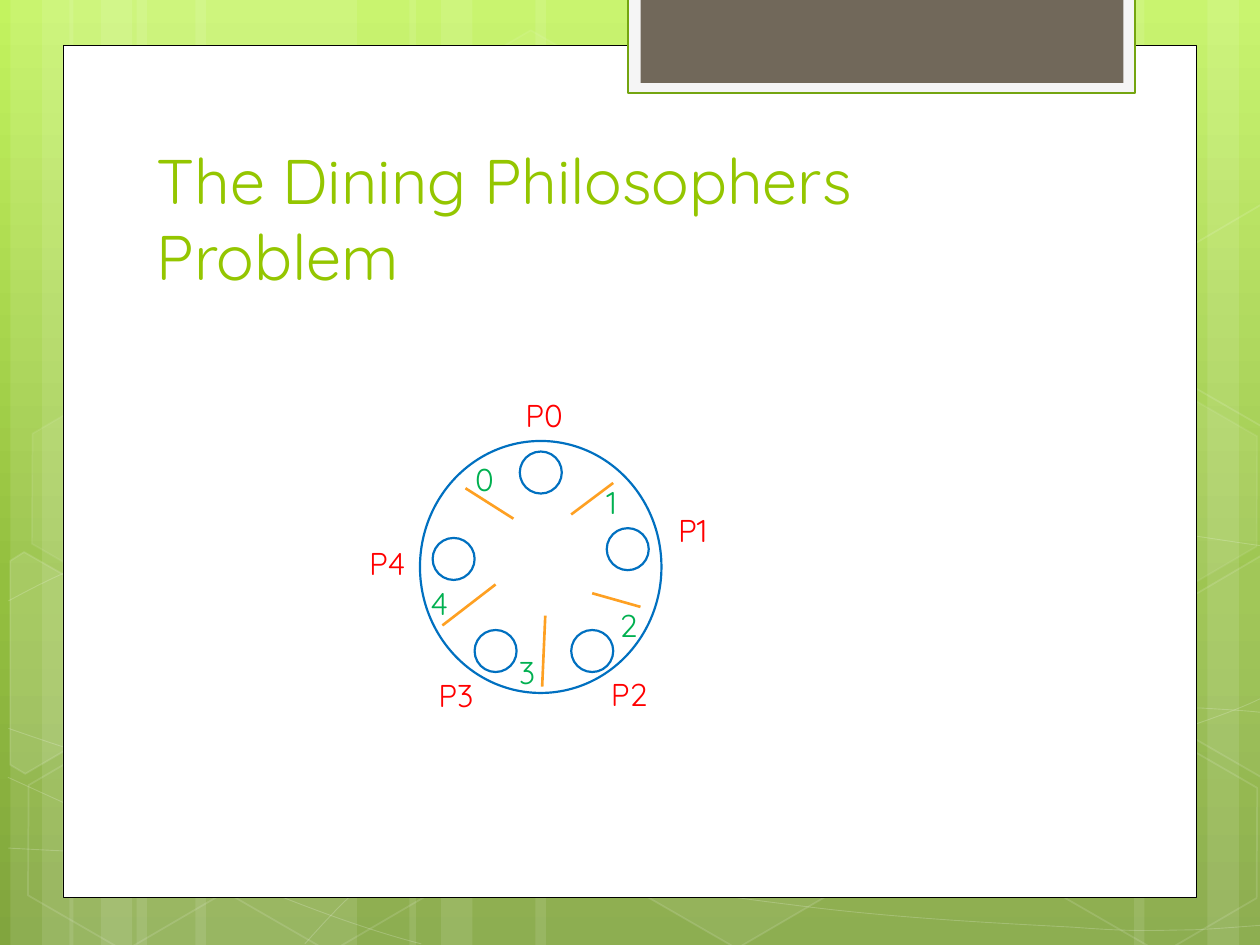
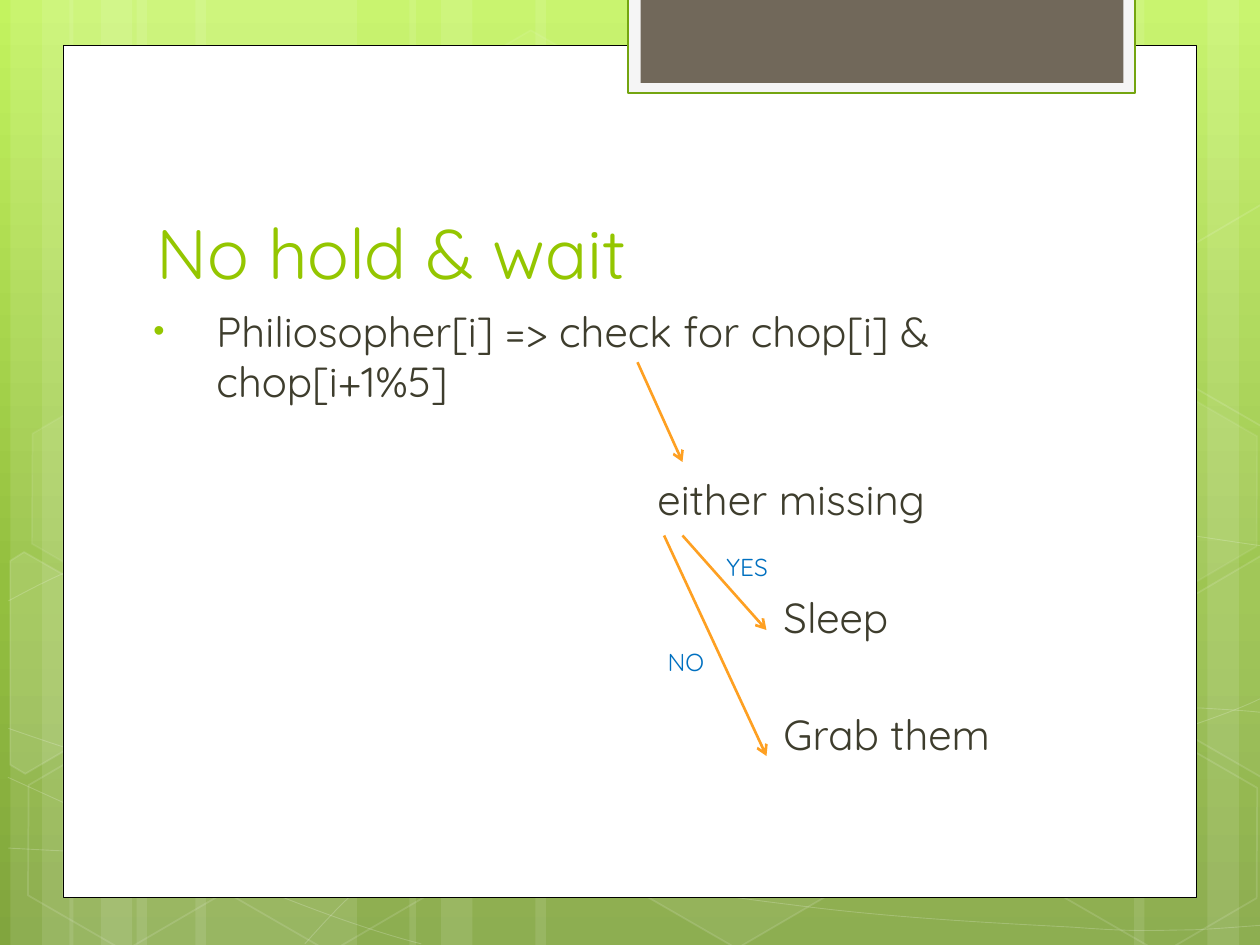
from dataclasses import dataclass
from math import cos, radians, sin
from lxml import etree
from pptx import Presentation
from pptx.dml.color import RGBColor
from pptx.enum.shapes import MSO_CONNECTOR, MSO_SHAPE
from pptx.enum.text import MSO_ANCHOR
from pptx.oxml.ns import qn
from pptx.util import Pt

RECT, OVAL, HEX = MSO_SHAPE.RECTANGLE, MSO_SHAPE.OVAL, MSO_SHAPE.HEXAGON
STRAIGHT = MSO_CONNECTOR.STRAIGHT
TOP, BOTTOM = MSO_ANCHOR.TOP, MSO_ANCHOR.BOTTOM

FONT = "Quicksand"
WHITE, BLACK, LIME, BLUE = "FFFFFF", "000000", "94C600", "0070C0"
RED, GREEN, AMBER, INK = "FF0000", "00B050", "FEA022", "3E3D2D"
WIDE, HIGH, TILT = 720, 540, 30
FADE = [(0, "C3F35F"), (62, "93BF3F"), (100, "81A53E")]

Point = tuple[float, float]


@dataclass
class Look:
    """Fill and outline; opacities in percent."""
    fill: str | None = None
    line: str | None = None
    width: float = 1
    veil: int = 100
    tint: int = 100


@dataclass
class Label:
    text: str
    x: float
    y: float
    color: str
    size: float = 18
    wide: float = 39.6
    high: float = 28.8


@dataclass
class Stick:
    start: Point
    end: Point
    arrow: bool = False


# ---- Drawing helpers ----
def paint(color, code: str) -> None:
    color.rgb = RGBColor.from_string(code)


def fade(node, share: int) -> None:
    if share < 100:
        for clr in node.iter(qn("a:srgbClr")):
            etree.SubElement(clr, qn("a:alpha"), val=str(share * 1000))


def dress(shape, look: Look) -> None:
    shape.shadow.inherit = False
    if look.fill:
        shape.fill.solid()
        paint(shape.fill.fore_color, look.fill)
        fade(shape.element.spPr.find(qn("a:solidFill")), look.veil)
    else:
        shape.fill.background()
    if look.line:
        paint(shape.line.color, look.line)
        shape.line.width = Pt(look.width)
        fade(shape.element.spPr.find(qn("a:ln")), look.tint)
    else:
        shape.line.fill.background()


def add_form(slide, kind, box: tuple, look: Look):
    shape = slide.shapes.add_shape(kind, *map(Pt, box))
    dress(shape, look)
    return shape


def add_path(slide, points: list[Point], look: Look, close: bool):
    dots = [(Pt(x), Pt(y)) for x, y in points]
    pen = slide.shapes.build_freeform(*dots[0], scale=1.0)
    pen.add_line_segments(dots[1:], close=close)
    shape = pen.convert_to_shape()
    dress(shape, look)
    return shape


def add_wave(slide, knots: list[Point], look: Look) -> None:
    """Turn each three knots after the first into one cubic curve."""
    shape = add_path(slide, knots, look, False)
    route = next(shape.element.iter(qn("a:path")))
    legs = route.findall(qn("a:lnTo"))
    for i in range(0, len(legs), 3):
        curve = etree.SubElement(route, qn("a:cubicBezTo"))
        for leg in legs[i:i + 3]:
            curve.append(leg[0])
            route.remove(leg)


def turn(points: list[Point], hub: Point, angle: float) -> list[Point]:
    c, s = cos(radians(angle)), sin(radians(angle))
    return [(hub[0] + (x - hub[0]) * c - (y - hub[1]) * s,
             hub[1] + (x - hub[0]) * s + (y - hub[1]) * c)
            for x, y in points]


def add_stick(slide, stick: Stick) -> None:
    line = slide.shapes.add_connector(
        STRAIGHT, *map(Pt, stick.start + stick.end))
    paint(line.line.color, AMBER)
    line.line.width = Pt(1.5)
    props = line.element.spPr
    if stick.arrow:
        etree.SubElement(props.find(qn("a:ln")), qn("a:tailEnd"), type="arrow")
    etree.SubElement(props, qn("a:effectLst"))


def add_frame(slide, box: tuple, anchor=TOP, right: float = 7.2):
    frame = slide.shapes.add_textbox(*map(Pt, box)).text_frame
    values = {"word_wrap": True, "vertical_anchor": anchor,
              "margin_left": Pt(7.2), "margin_right": Pt(right),
              "margin_top": Pt(3.6), "margin_bottom": Pt(3.6)}
    for name, value in values.items():
        setattr(frame, name, value)
    return frame


def write(para, text: str, size: float, color: str) -> None:
    run = para.add_run()
    run.text = text
    for name, value in {"name": FONT, "size": Pt(size)}.items():
        setattr(run.font, name, value)
    paint(run.font.color, color)


def add_label(slide, label: Label) -> None:
    frame = add_frame(slide, (label.x, label.y, label.wide, label.high))
    write(frame.paragraphs[0], label.text, label.size, label.color)


# ---- Shared backdrop ----
TRIO = [(78, 126), (6, 36), (24, 60)]
BANDS = TRIO + [(x + 33.6, w) for x, w in TRIO] + [
    (528, 126), (690, 36), (648, 60), (306, 222), (234, 36), (252, 60)]

WAVES = [
    [(4.8, 484.6), (44, 486.7), (83, 488.9), (136.8, 488.2), (190.8, 487.4),
     (257.8, 486), (329.8, 478.8), (401.8, 471.6), (504, 457.9),
     (570.2, 444.2), (635.8, 430.6), (703.4, 409), (725, 396.7)],
    [(4.8, 343.4), (26, 332), (46.8, 321), (87, 310.3), (128, 299.5),
     (186.5, 283.7), (249.8, 278.6), (314, 273.6), (391.7, 272.9),
     (470.9, 278.6), (550, 284.4), (681.8, 306.7), (725, 312.5)],
    [(4.5, 444.2), (91.4, 483.8), (177.8, 523.4), (240.7, 539.4)],
    [(4.8, 416.2), (27.4, 424), (50.4, 432), (92.2, 443.5), (133.9, 454.3),
     (196.6, 472.3), (257, 484.6), (316.8, 496.8), (392.4, 509.8),
     (452.2, 517), (511.9, 524.9), (576, 527.8), (614.2, 529.9),
     (651.6, 532.8), (661.7, 531.4), (680.4, 531.4), (699.1, 530.6),
     (712, 529.2), (725, 528.5)],
    [(174.2, 539.4), (187.2, 524.9), (200.2, 510.5), (217.4, 497.5),
     (234.7, 484.6), (259.2, 470.2), (279.4, 460), (299.5, 450),
     (311.8, 445.7), (338.4, 438.5), (364.3, 431.3), (412.6, 421.2),
     (437.8, 416.2), (463.7, 411.1), (467.3, 411.1), (489.6, 409.7),
     (511.9, 407.5), (547.2, 405.4), (571.7, 404.6), (596.9, 403.9),
     (637.9, 404.6), (637.9, 404.6), (654, 404.6), (670, 404.6),
     (686.2, 404.6), (699, 405.4), (711.4, 406.1), (717.8, 406.8),
     (724.3, 407.5), (722, 406.8), (724.3, 407.5)],
]

# Left, top, fill opacity, line opacity
CELLS = [(240.5, 25.9, 4, 8), (357.8, 424.1, 6, 12), (7.9, 425.5, 0, 12),
         (10.1, 224.6, 7, 8), (125.3, 426.2, 0, 12), (542.2, 326.2, 10, 12),
         (600.5, 427, 0, 12), (600.5, 226.1, 7, 8)]

# Cells cut by the slide edge: outline, centre, fill opacity
RISE = 200.6
WEST = [(5.8, 320.4), (13.7, 315.4), (69.1, 347), (68.4, 410.4),
        (14.4, 442.1), (5.8, 437)]
EAST = [(666.7, 349.2), (720.7, 317.5), (726.5, 321.1), (726.5, 441.4),
        (721.4, 444.2), (666.7, 412.6)]
CUTS = [(WEST, (25.9, 385.2), 10), (EAST, (709.2, 374.4), 4),
        ([(x, y - RISE) for x, y in EAST], (709.2, 374.4 - RISE), 0)]

PANELS = [((36, 26, 648, 487), Look(WHITE, BLACK, 0.5)),
          ((359, -1.4, 289.6, 54.6), Look("F5F5F5", "74A510", 1.25)),
          ((366, -1.4, 276, 48.8), Look("71685A"))]


def glass(veil: int, tint: int) -> Look:
    return Look(WHITE if veil else None, WHITE, 1, veil, tint)


def set_ground(master) -> None:
    master.background.fill.gradient()
    grad = next(master.element.iter(qn("a:gradFill")))
    for part in list(grad):
        grad.remove(part)
    stops = etree.SubElement(grad, qn("a:gsLst"))
    for place, code in FADE:
        stop = etree.SubElement(stops, qn("a:gs"), pos=str(place * 1000))
        etree.SubElement(stop, qn("a:srgbClr"), val=code)
    etree.SubElement(grad, qn("a:lin"), ang="5400000", scaled="0")


def add_page(deck, title: str, size: float):
    slide = deck.slides.add_slide(deck.slide_layouts[6])
    for x, wide in BANDS:
        add_form(slide, RECT, (x, 0, wide, HIGH), Look(WHITE, veil=10))
    for knots in WAVES:
        add_wave(slide, knots, Look(line=WHITE, width=0.5, tint=20))
    for x, y, veil, tint in CELLS:
        cell = add_form(slide, HEX, (x, y, 126, 109.4), glass(veil, tint))
        cell.adjustments[0] = 0.285
        cell.rotation = TILT
    for points, hub, veil in CUTS:
        cut = add_path(slide, turn(points, hub, -TILT), glass(veil, 12), True)
        cut.rotation = TILT
    for box, look in PANELS:
        add_form(slide, RECT, box, look)
    frame = add_frame(slide, (82.4, 81, 553, 90), BOTTOM)
    write(frame.paragraphs[0], title, size, LIME)
    return slide


deck = Presentation()
deck.slide_width, deck.slide_height = Pt(WIDE), Pt(HIGH)
set_ground(deck.slide_master)

# ---- Slide 1: the table ----
page = add_page(deck, "The Dining Philosophers Problem", 36)
RING = Look(line=BLUE, width=1.25)
add_form(page, OVAL, (240, 252, 138, 144), RING)
SEATS = [(297, 258), (346.7, 301.8), (326.4, 360), (271.2, 360),
         (247.2, 307.4)]
for x, y in SEATS:
    add_form(page, OVAL, (x, y, 24, 24), RING)

for stick in [Stick((350.4, 276), (326.4, 294)),
              Stick((366, 346.8), (338.4, 339)),
              Stick((266, 279), (293.4, 296.4)),
              Stick((252.8, 357.4), (283.2, 334)),
              Stick((309.8, 392.4), (311.6, 351.8))]:
    add_stick(page, stick)

NAMES = [(293.2, 222.9), (380.4, 288.7), (342, 382.3), (243.4, 383),
         (203.8, 307.4)]
FORKS = [(264.4, 259.2), (339.4, 272.2), (347, 342.7), (289.4, 369.4),
         (239, 330)]
for i, (name, fork) in enumerate(zip(NAMES, FORKS)):
    add_label(page, Label(f"P{i}", *name, RED))
    add_label(page, Label(str(i), *fork, GREEN))

# ---- Slide 2: the decision ----
page = add_page(deck, "No hold & wait", 40)
body = add_frame(page, (75.6, 171, 608.4, 321), right=72)
STEPS = [("Philiosopher[i] => check for chop[i] & chop[i+1%5]", 41),
         ("either missing", 293), ("Sleep", 365), ("Grab them", 365)]
for i, (text, left) in enumerate(STEPS):
    para = body.add_paragraph() if i else body.paragraphs[0]
    write(para, text, 24, INK)
    props = para._p.get_or_add_pPr()
    props.set("marL", str(Pt(left)))
    if i:
        para.space_before = Pt(38.4)
    else:
        props.set("indent", str(Pt(-36)))
        tone = etree.SubElement(props, qn("a:buClr"))
        etree.SubElement(tone, qn("a:srgbClr"), val=LIME)
        etree.SubElement(props, qn("a:buSzPct"), val="76000")
        etree.SubElement(props, qn("a:buFont"), typeface="Arial")
        etree.SubElement(props, qn("a:buChar"), char="•")

for stick in [Stick((390, 306), (438, 360), True),
              Stick((379.5, 306), (438, 432), True),
              Stick((364.3, 207), (390, 264), True)]:
    add_stick(page, stick)
for text, x, y in [("YES", 408, 312), ("NO", 374.4, 366)]:
    add_label(page, Label(text, x, y, BLUE, 14, 49, 24.5))

deck.save("out.pptx")
